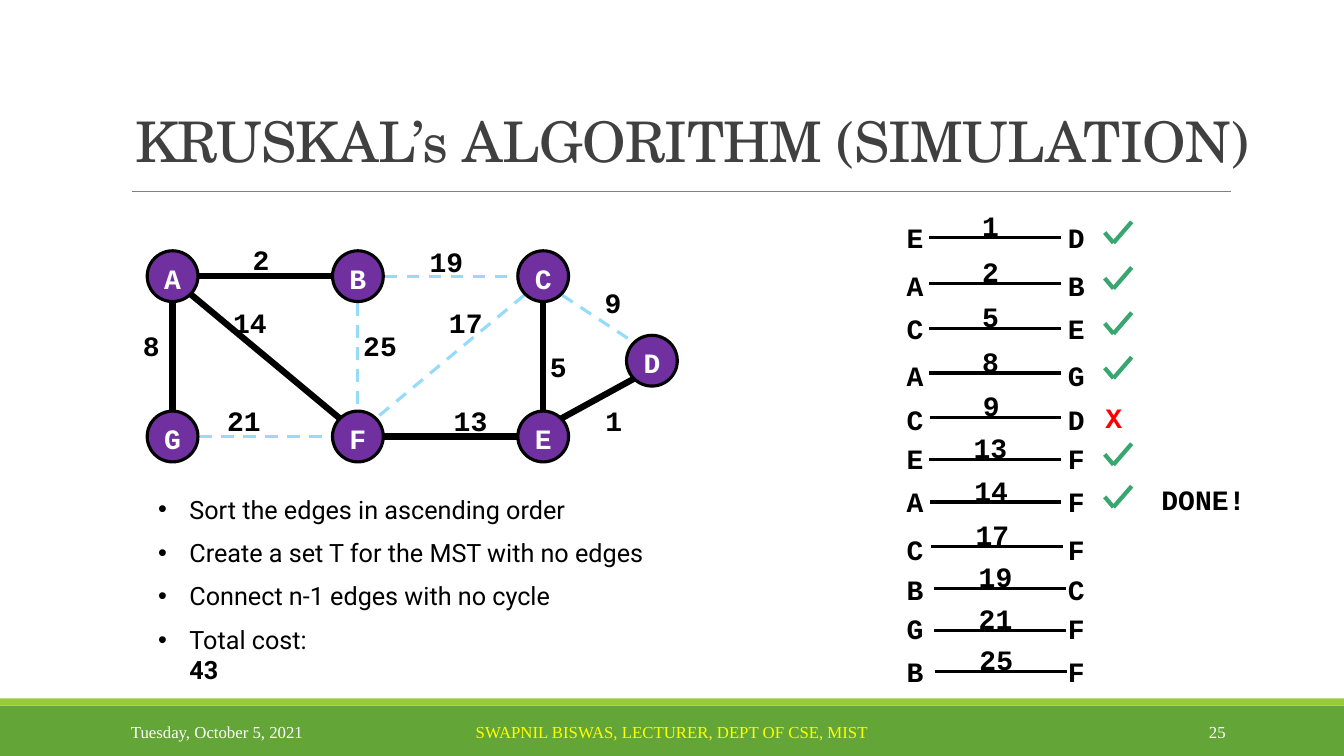
from dataclasses import dataclass
from math import hypot

from lxml.etree import SubElement
from pptx import Presentation
from pptx.dml.color import RGBColor
from pptx.enum.dml import MSO_LINE
from pptx.enum.shapes import MSO_CONNECTOR, MSO_SHAPE
from pptx.enum.text import MSO_ANCHOR, MSO_AUTO_SIZE, PP_ALIGN
from pptx.oxml.ns import qn
from pptx.util import Cm, Pt


@dataclass(frozen=True)
class Theme:
    ink: str = "000000"
    head: str = "404040"
    rule: str = "808080"
    white: str = "FFFFFF"
    gold: str = "FFFF00"
    red: str = "FF0000"
    node: str = "7030A0"
    pale: str = "97DBFB"
    tick: str = "37A76F"
    green: str = "63A537"
    lime: str = "99CB38"
    title: str = "TeX Gyre Schola"
    body: str = "Roboto"
    mono: str = "Courier New"
    foot: str = "Times New Roman"
    big: int = 40
    mid: int = 20
    text: int = 18
    small: int = 12


theme = Theme()

TITLE = "KRUSKAL’s ALGORITHM (SIMULATION)"
STEPS = [
    "Sort the edges in ascending order",
    "Create a set T for the MST with no edges",
    "Connect n-1 edges with no cycle",
    "Total cost: ",
]
COST = "43"
DONE = ("DONE!", 30.35, 12.6)
FOOTER = [
    ("Tuesday, October 5, 2021", 3.05, 6.86, PP_ALIGN.LEFT, theme.white),
    ("SWAPNIL BISWAS, LECTURER, DEPT OF CSE, MIST", 10.24, 13.39, PP_ALIGN.CENTER, theme.gold),
    ("25", 27.51, 3.63, PP_ALIGN.RIGHT, theme.white),
]
BARS = [(17.78, 1.27, theme.green), (17.6, 0.18, theme.lime)]

COLS = [4.35 + 4.67 * i for i in range(3)]
HIGH, LOW = 6.96, 11.0
NODES = {
    "A": (COLS[0], HIGH), "B": (COLS[1], HIGH), "C": (COLS[2], HIGH),
    "G": (COLS[0], LOW), "F": (COLS[1], LOW), "E": (COLS[2], LOW),
    "D": (16.43, 9.09),
}
SIZE = 1.28

# start, end, weight, result, weight centre, row line (x, y), letter height
EDGES = [
    ("E", "D", "1", "yes", (15.48, 10.6), (23.42, 5.99), 5.99),
    ("A", "B", "2", "yes", (6.59, 6.54), (23.42, 7.14), 7.19),
    ("C", "E", "5", "yes", (14.08, 9.23), (23.42, 8.28), 8.28),
    ("A", "G", "8", "yes", (3.82, 8.7), (23.42, 9.4), 9.47),
    ("C", "D", "9", "X", (15.46, 7.63), (23.44, 10.52), 10.57),
    ("E", "F", "13", "yes", (11.87, 10.6), (23.42, 11.58), 11.56),
    ("A", "F", "14", "yes", (6.31, 8.12), (23.44, 12.65), 12.65),
    ("C", "F", "17", "", (11.75, 8.12), (23.47, 13.77), 13.84),
    ("B", "C", "19", "", (11.26, 6.59), (23.55, 14.83), 14.86),
    ("G", "F", "21", "", (6.16, 10.6), (23.55, 15.88), 15.85),
    ("B", "F", "25", "", (9.59, 8.7), (23.57, 16.92), 16.92),
]
LEFT, RIGHT, MARK, SPAN = 23.07, 27.13, 28.08, 3.31


def style(run, font, size, color, bold=False):
    run.font.name = font
    run.font.size = Pt(size)
    run.font.bold = bold
    run.font.color.rgb = RGBColor.from_string(color)


def join(shapes, start, end, color, width, dash=False):
    line = shapes.add_connector(MSO_CONNECTOR.STRAIGHT, *map(Cm, (*start, *end)))
    line.line.color.rgb = RGBColor.from_string(color)
    line.line.width = Pt(width)
    if dash:
        line.line.dash_style = MSO_LINE.DASH
    SubElement(line._element.spPr, qn("a:effectLst"))


def label(shapes, text, x, y, color=theme.ink):
    wide, high = 0.51 + 0.43 * len(text), 1.11
    box = shapes.add_textbox(Cm(x - wide / 2), Cm(y - high / 2), Cm(wide), Cm(high))
    frame = box.text_frame
    frame.text = text
    frame.word_wrap = False
    frame.auto_size = MSO_AUTO_SIZE.SHAPE_TO_FIT_TEXT
    style(frame.paragraphs[0].runs[0], theme.mono, theme.mid, color, True)


def solid(shapes, kind, x, y, wide, high, color):
    shape = shapes.add_shape(kind, Cm(x), Cm(y), Cm(wide), Cm(high))
    shape.shadow.inherit = False
    shape.fill.solid()
    shape.fill.fore_color.rgb = RGBColor.from_string(color)
    shape.line.fill.background()
    return shape


def place(shape, x, y, wide, high):
    shape.left, shape.top, shape.width, shape.height = map(Cm, (x, y, wide, high))


def rim(here, there, gap):
    signs = [(b > a) - (b < a) for a, b in zip(here, there)]
    reach = (SIZE / 2 + gap) / hypot(*signs)
    return [a + reach * sign for a, sign in zip(here, signs)]


def frame_art(slide):
    shapes = slide.shapes
    for y, high, color in BARS:
        solid(shapes, MSO_SHAPE.RECTANGLE, 0, y, 33.87, high, color)
    join(shapes, (3.33, 4.83), (31.01, 4.83), theme.rule, 0.5)
    for text, x, wide, align, color in FOOTER:
        box = shapes.add_textbox(Cm(x), Cm(17.93), Cm(wide), Cm(1.02))
        frame = box.text_frame
        frame.word_wrap = True
        frame.vertical_anchor = MSO_ANCHOR.MIDDLE
        frame.text = text
        frame.paragraphs[0].alignment = align
        style(frame.paragraphs[0].runs[0], theme.foot, theme.small, color)


def words(slide):
    title, body = slide.placeholders
    place(title, 3.15, 0.48, 29.11, 4.04)
    title.text_frame.text = TITLE
    title.text_frame.auto_size = MSO_AUTO_SIZE.NONE
    title.text_frame.vertical_anchor = MSO_ANCHOR.BOTTOM
    para = title.text_frame.paragraphs[0]
    para.alignment = PP_ALIGN.LEFT
    para.line_spacing = 0.85
    style(para.runs[0], theme.title, theme.big, theme.head)
    para.runs[0].font._element.set("spc", "-50")

    place(body, 3.73, 12.32, 12.78, 5.1)
    frame = body.text_frame
    frame.auto_size = MSO_AUTO_SIZE.NONE
    for i, step in enumerate(STEPS):
        para = frame.add_paragraph() if i else frame.paragraphs[0]
        para.text = step
        para.line_spacing = 1.0
        para.space_before, para.space_after = Pt(0), Pt(9.4)
        props = para._p.get_or_add_pPr()
        props.set("marL", str(Cm(0.79)))
        props.set("indent", str(-Cm(0.79)))
        style(para.runs[0], theme.body, theme.text, theme.ink)
    para.add_line_break()
    cost = para.add_run()
    cost.text = COST
    style(cost, theme.body, theme.text, theme.ink, True)


def graph(shapes):
    for start, end, weight, mark, spot, *_ in EDGES:
        a, b = NODES[start], NODES[end]
        kept = mark == "yes"
        gap = 0 if kept else 0.04
        color, width = (theme.ink, 4.5) if kept else (theme.pale, 2.25)
        join(shapes, rim(a, b, gap), rim(b, a, gap), color, width, not kept)
        label(shapes, weight, *spot)
    for name, (x, y) in NODES.items():
        node = solid(shapes, MSO_SHAPE.OVAL, x - SIZE / 2, y - SIZE / 2, SIZE, SIZE, theme.node)
        node.line.color.rgb = RGBColor.from_string(theme.ink)
        node.line.width = Pt(2.25)
        frame = node.text_frame
        frame.margin_left = frame.margin_right = frame.margin_bottom = 0
        frame.margin_top = Cm(0.1)
        frame.word_wrap = False
        frame.vertical_anchor = MSO_ANCHOR.MIDDLE
        frame.text = name
        frame.paragraphs[0].alignment = PP_ALIGN.CENTER
        style(frame.paragraphs[0].runs[0], theme.mono, theme.mid, theme.white, True)


def ledger(shapes):
    for start, end, weight, mark, _, (x, y), mid in EDGES:
        join(shapes, (x, y), (x + SPAN, y), theme.ink, 2.25)
        label(shapes, weight, x + 1.55, y - 0.3)
        label(shapes, start, LEFT, mid)
        label(shapes, end, RIGHT, mid)
        if mark == "yes":
            tick = shapes.add_group_shape().shapes
            low = (MARK - 0.02, y + 0.13)
            join(tick, (MARK - 0.24, y - 0.13), low, theme.tick, 3)
            join(tick, low, (MARK + 0.44, y - 0.4), theme.tick, 3)
        elif mark:
            label(shapes, mark, MARK, y, theme.red)
    label(shapes, *DONE)


def main():
    deck = Presentation()
    deck.slide_width, deck.slide_height = Cm(33.87), Cm(19.05)
    slide = deck.slides.add_slide(deck.slide_layouts[1])
    frame_art(slide)
    words(slide)
    graph(slide.shapes)
    ledger(slide.shapes)
    deck.save("out.pptx")


if __name__ == "__main__":
    main()
